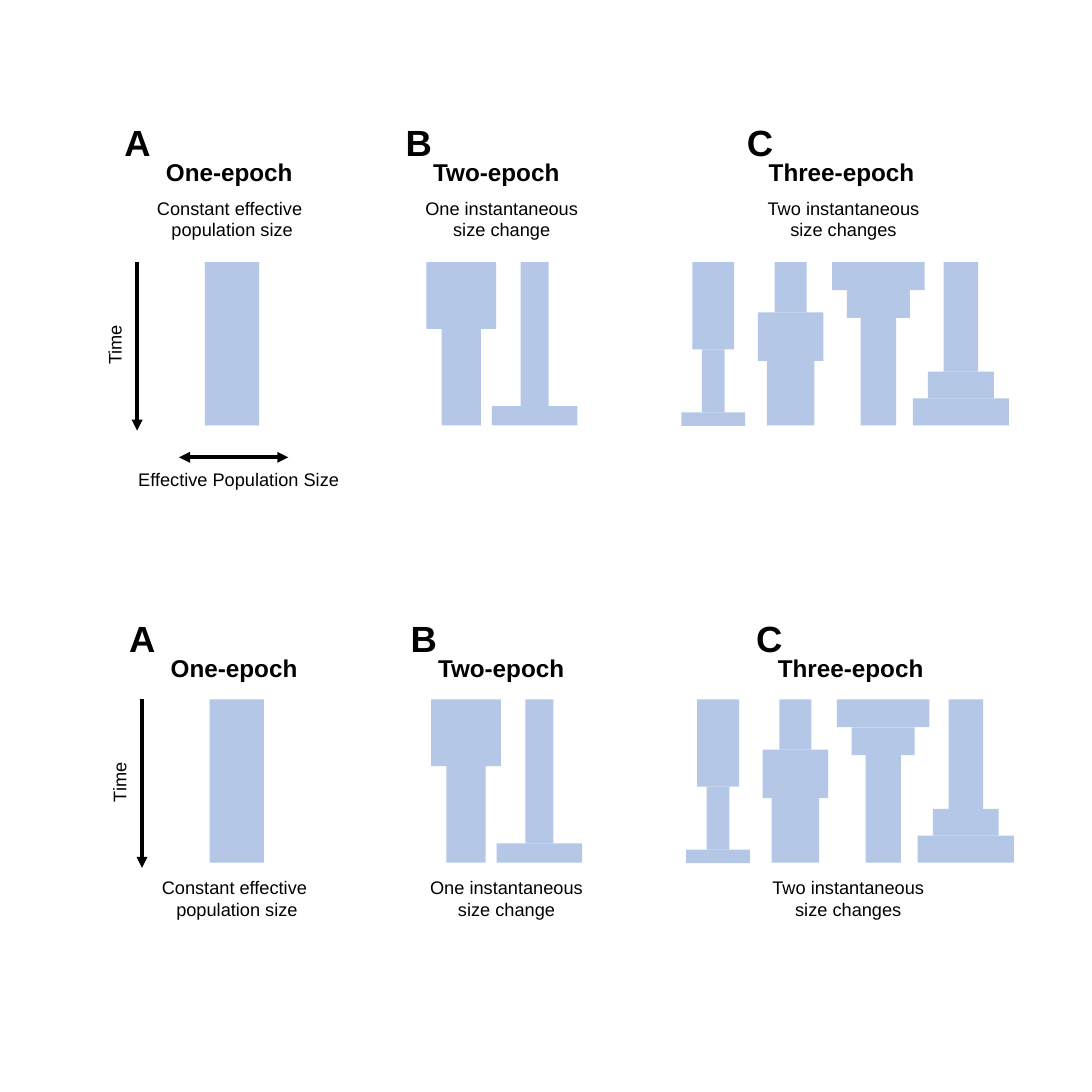
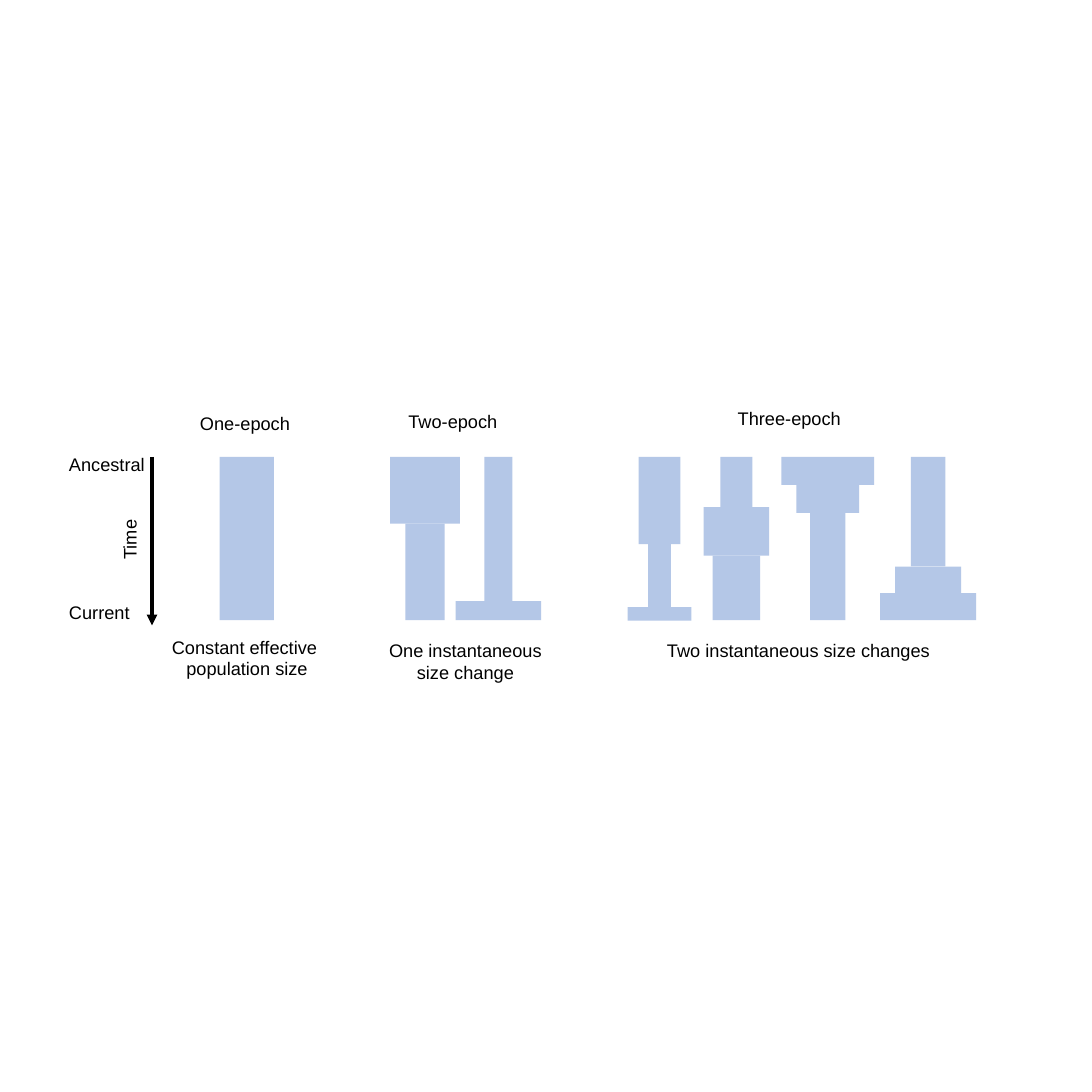
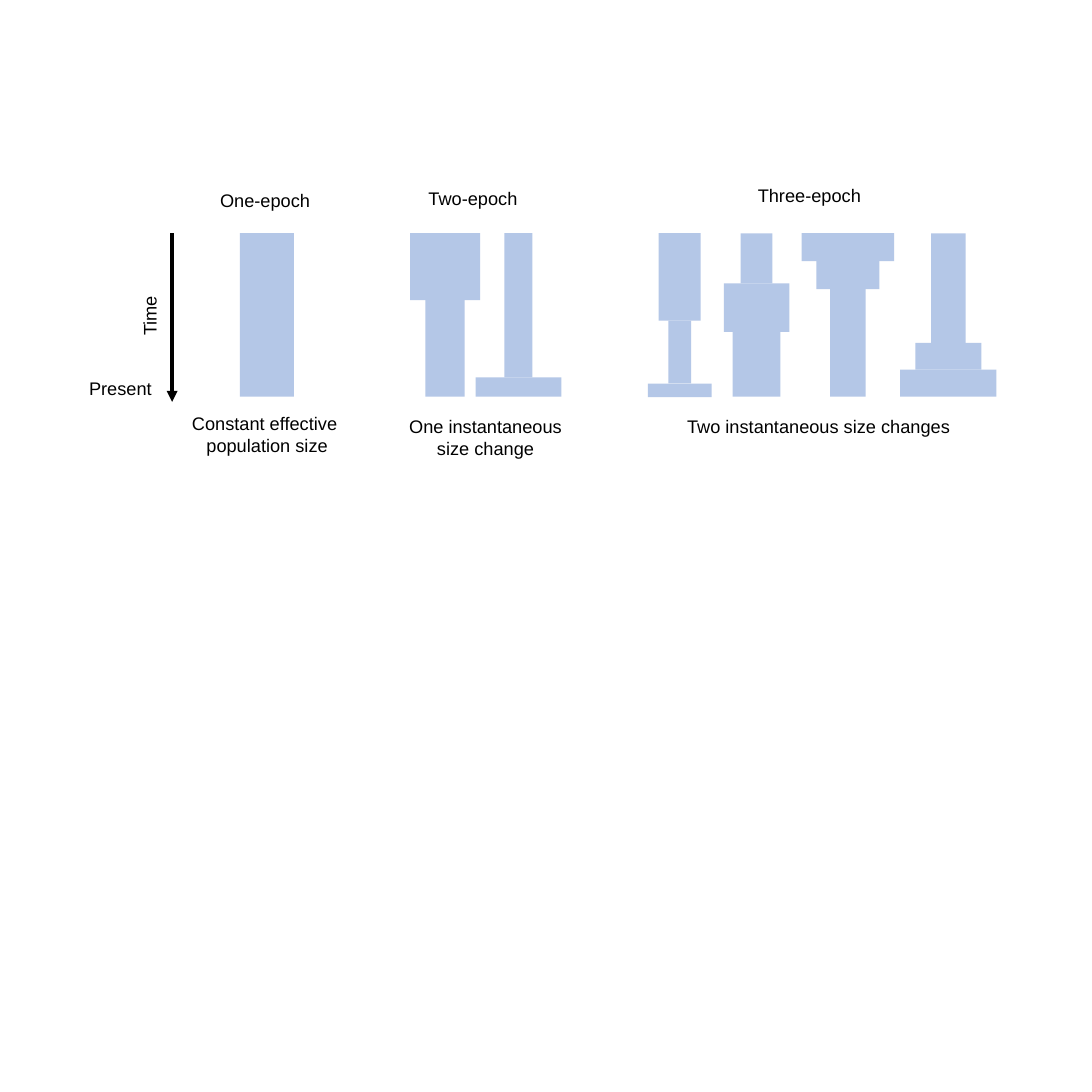
from dataclasses import dataclass

from lxml import etree
from pptx import Presentation
from pptx.dml.color import RGBColor
from pptx.enum.shapes import MSO_CONNECTOR, MSO_SHAPE
from pptx.enum.text import MSO_AUTO_SIZE, PP_ALIGN
from pptx.oxml.ns import qn
from pptx.util import Inches, Pt


@dataclass(frozen=True)
class Theme:
    font: str = "Arial"
    ink: RGBColor = RGBColor(0x00, 0x00, 0x00)
    population: RGBColor = RGBColor(0xB4, 0xC7, 0xE7)
    letter: int = 60
    heading: int = 40
    body: int = 30
    arrow: int = 6


THEME = Theme()
TIME_SPAN = 3.86

# Each history is a stack of (width, height) epochs, oldest first.
HISTORIES = [
    [[(1.24, 3.74)]],
    [[(1.6, 1.53), (0.9, 2.21)],
     [(0.64, 3.3), (1.96, 0.44)]],
    [[(0.96, 2), (0.52, 1.44), (1.46, 0.31)],
     [(0.73, 1.15), (1.5, 1.11), (1.09, 1.48)],
     [(2.12, 0.64), (1.44, 0.64), (0.81, 2.46)],
     [(0.79, 2.51), (1.51, 0.61), (2.2, 0.62)]],
]
HEADINGS = ["One-epoch", "Two-epoch", "Three-epoch"]
CAPTIONS = [
    ["Constant effective ", "population size"],
    ["One instantaneous size change"],
    ["Two instantaneous size changes"],
]

# Positions are measured from the top of the time arrow.
WIDE_CENTRES = [[2.17], [7.42, 9.1], [13.19, 14.96, 16.97, 18.86]]
WIDE_LETTERS = [-0.39, 6.05, 13.86]
WIDE_HEADINGS = [(0.56, 3.63), (6.68, 3.63), (14.36, 3.89)]
WIDE_CAPTIONS = [(0.23, 3.89), (6.15, 4.39), (13.91, 4.52)]

COMPACT_CENTRES = [[2.17], [6.25, 7.93], [11.62, 13.38, 15.47, 17.77]]
COMPACT_HEADINGS = [(1, -1.06, 2.34), (5.77, -1.11, 2.31), (13.31, -1.18, 2.65)]
COMPACT_CAPTIONS = [(0.23, 4.05, 3.89), (4.98, 4.13, 4.39), (11.55, 4.13, 6.5)]


def add_text(s, x, y, w, lines, size=THEME.body, bold=False, centred=False, rotation=0):
    h = 0.11 + len(lines) * size / 60
    box = s.shapes.add_textbox(Inches(x), Inches(y), Inches(w), Inches(h))
    box.rotation = rotation
    tf = box.text_frame
    tf.word_wrap = True
    tf.auto_size = MSO_AUTO_SIZE.SHAPE_TO_FIT_TEXT
    for i, line in enumerate(lines):
        p = tf.paragraphs[0] if i == 0 else tf.add_paragraph()
        p.alignment = PP_ALIGN.CENTER if centred else PP_ALIGN.LEFT
        r = p.add_run()
        r.text = line
        r.font.name = THEME.font
        r.font.size = Pt(size)
        r.font.bold = bold
        r.font.color.rgb = THEME.ink


def add_arrow(s, x1, y1, x2, y2, both_ends=False):
    line = s.shapes.add_connector(
        MSO_CONNECTOR.STRAIGHT, Inches(x1), Inches(y1), Inches(x2), Inches(y2))
    line.line.color.rgb = THEME.ink
    line.line.width = Pt(THEME.arrow)
    ln = line.line._get_or_add_ln()
    for end in ["headEnd", "tailEnd"] if both_ends else ["tailEnd"]:
        etree.SubElement(ln, qn(f"a:{end}"), type="triangle")
    etree.SubElement(line._element.spPr, qn("a:effectLst"))


def add_history(s, centre, y, epochs):
    """Stack the epochs of one population downwards around a centre line."""
    for w, h in epochs:
        bar = s.shapes.add_shape(
            MSO_SHAPE.RECTANGLE, Inches(centre - w / 2), Inches(y), Inches(w), Inches(h))
        bar.shadow.inherit = False
        bar.fill.solid()
        bar.fill.fore_color.rgb = THEME.population
        bar.line.fill.background()
        y += h


def add_timeline(s, x, y, centres):
    """Draw the time arrow and every population history beside it."""
    for histories, places in zip(HISTORIES, centres):
        for epochs, centre in zip(histories, places):
            add_history(s, x + centre, y, epochs)
    add_arrow(s, x, y, x, y + TIME_SPAN)
    add_text(s, x - 1.1, y + 1.56, 1.17, ["Time"], rotation=270)


def add_wide_figure(s, x, y, letter_y, caption_y, last_shift=0):
    """Draw lettered panels; last_shift moves the labels above the last panel."""
    add_timeline(s, x, y, WIDE_CENTRES)
    for i, letter in enumerate("ABC"):
        shift = last_shift if letter == "C" else 0
        heading_x, heading_w = WIDE_HEADINGS[i]
        caption_x, caption_w = WIDE_CAPTIONS[i]
        add_text(s, x + WIDE_LETTERS[i] + shift, y + letter_y, 0.78, [letter],
                 THEME.letter, bold=True)
        add_text(s, x + heading_x + shift, y + letter_y + 0.85, heading_w, [HEADINGS[i]],
                 THEME.heading, bold=True)
        add_text(s, x + caption_x, y + caption_y, caption_w, CAPTIONS[i], centred=True)


def add_compact_figure(s, x, y, time_labels):
    add_timeline(s, x, y, COMPACT_CENTRES)
    for heading, (dx, dy, w) in zip(HEADINGS, COMPACT_HEADINGS):
        add_text(s, x + dx, y + dy, w, [heading])
    for caption, (dx, dy, w) in zip(CAPTIONS, COMPACT_CAPTIONS):
        add_text(s, x + dx, y + dy, w, caption, centred=True)
    for label, dy in time_labels:
        add_text(s, x - 2, y + dy, 2.01, [label])


def main():
    prs = Presentation()
    prs.slide_width = prs.slide_height = Inches(25)
    blank = prs.slide_layouts[6]

    s = prs.slides.add_slide(blank)
    add_wide_figure(s, 3.14, 6, letter_y=-3.31, caption_y=-1.54)
    add_arrow(s, 4.1, 10.47, 6.6, 10.47, both_ends=True)
    add_text(s, 2.75, 10.67, 5.43, ["Effective Population Size"], centred=True)
    add_wide_figure(s, 3.25, 16.01, letter_y=-1.96, caption_y=4.01, last_shift=0.1)

    s = prs.slides.add_slide(blank)
    add_compact_figure(s, 3.48, 10.46, [("Ancestral", -0.13), ("Current", 3.26)])

    s = prs.slides.add_slide(blank)
    add_compact_figure(s, 3.94, 5.34, [("Present", 3.26)])

    prs.save("out.pptx")


if __name__ == "__main__":
    main()
